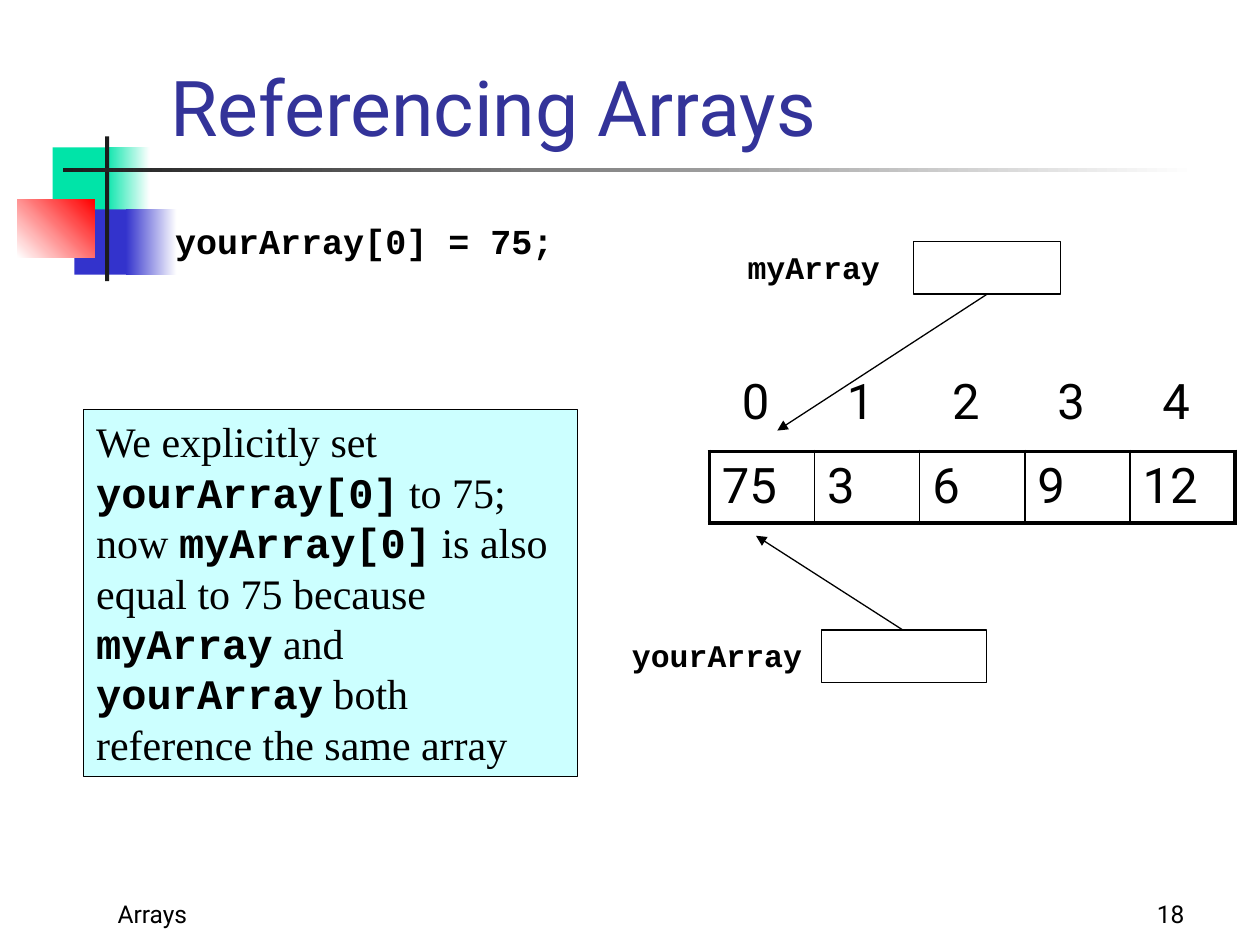
"""Builds the "Referencing Arrays" slide."""
from dataclasses import dataclass
from typing import Any

from lxml import etree
from pptx import Presentation
from pptx.dml.color import RGBColor
from pptx.enum.shapes import MSO_CONNECTOR, MSO_SHAPE
from pptx.enum.text import MSO_ANCHOR, PP_ALIGN
from pptx.oxml.ns import qn
from pptx.util import Cm, Pt

SANS, SERIF, MONO = "Roboto", "Times New Roman", "Courier New"
BLACK, WHITE, GREEN, BLUE = "000000", "FFFFFF", "00E4A8", "3333CC"
CHARCOAL, RED, TITLE, NOTE = "1C1C1C", "FF0000", "333399", "CCFFFF"
NO_GRID = "{2D5ABB26-0587-4C30-8999-92F81FD0307C}"


def rgb(color):
    return RGBColor.from_string(color)


@dataclass
class Board:
    slide: Any
    thin: float = 0.75
    thick: float = 2.25

    def set_runs(self, frame, runs, size, color=BLACK, align=PP_ALIGN.LEFT, anchor=MSO_ANCHOR.TOP):
        frame.word_wrap = True
        frame.vertical_anchor = anchor
        paragraph = frame.paragraphs[0]
        paragraph.alignment = align
        for text, font in runs:
            run = paragraph.add_run()
            run.text = text
            run.font.name = font
            run.font.size = Pt(size)
            run.font.bold = font == MONO
            run.font.color.rgb = rgb(color)

    def title(self, text, box):
        title = self.slide.shapes.title
        title.left, title.top, title.width, title.height = map(Cm, box)
        self.set_runs(title.text_frame, [(text, SANS)], 44, TITLE, anchor=MSO_ANCHOR.BOTTOM)

    def text(self, text, box, font, size, **layout):
        frame = self.slide.shapes.add_textbox(*map(Cm, box)).text_frame
        self.set_runs(frame, [(text, font)], size, **layout)

    def rect(self, box, fill=None, outline=False, fade=None, angle=0):
        shape = self.slide.shapes.add_shape(MSO_SHAPE.RECTANGLE, *map(Cm, box))
        shape.shadow.inherit = False
        if fade:
            shape.fill.gradient()
            shape.fill.gradient_angle = angle
            for stop, color, position in zip(shape.fill.gradient_stops, (fill, fade), (0, 1)):
                stop.color.rgb = rgb(color)
                stop.position = position
        elif fill:
            shape.fill.solid()
            shape.fill.fore_color.rgb = rgb(fill)
        else:
            shape.fill.background()
        if outline:
            shape.line.color.rgb = rgb(BLACK)
            shape.line.width = Pt(self.thin)
        else:
            shape.line.fill.background()
        return shape

    def arrow(self, *ends):
        arrow = self.slide.shapes.add_connector(MSO_CONNECTOR.STRAIGHT, *map(Cm, ends))
        arrow.line.color.rgb = rgb(BLACK)
        arrow.line.width = Pt(self.thin)
        line = arrow.line._get_or_add_ln()
        etree.SubElement(line, qn("a:tailEnd"), type="triangle")
        etree.SubElement(line.getparent(), qn("a:effectLst"))

    def border(self, cell, side, width):
        line = etree.SubElement(cell._tc.get_or_add_tcPr(), qn(f"a:{side}"), w=str(Pt(width)))
        fill = etree.SubElement(line, qn("a:solidFill"))
        etree.SubElement(fill, qn("a:srgbClr"), val=BLACK)

    def row(self, values, left, top, column, height, align=PP_ALIGN.LEFT, grid=False):
        last = len(values) - 1
        frame = self.slide.shapes.add_table(
            1, len(values), Cm(left), Cm(top), Cm(column * len(values)), Cm(height))
        table = frame.table
        table.first_row = table.horz_banding = False
        table._tbl.tblPr.find(qn("a:tableStyleId")).text = NO_GRID
        for i, value in enumerate(values):
            table.columns[i].width = Cm(column)
            cell = table.cell(0, i)
            self.set_runs(cell.text_frame, [(value, SANS)], 28, align=align)
            if grid:
                self.border(cell, "lnL", self.thick if i == 0 else 1)
                self.border(cell, "lnR", self.thick if i == last else 1)
                self.border(cell, "lnT", self.thick)
                self.border(cell, "lnB", self.thick)
            cell.fill.background()


prs = Presentation()
prs.slide_width, prs.slide_height = Cm(25.4), Cm(19.05)
board = Board(prs.slides.add_slide(prs.slide_layouts[5]))

board.rect((1.06, 2.97, 1.22, 1.32), GREEN)
board.rect((2.11, 2.97, 0.91, 1.32), GREEN, fade=WHITE)
board.rect((1.5, 4.22, 1.17, 1.32), BLUE)
board.rect((2.54, 4.22, 1.02, 1.32), BLUE, fade=WHITE)
board.rect((0.35, 4.02, 1.56, 1.17), WHITE, fade=RED, angle=45)
board.rect((2.12, 2.75, 0.08, 2.92), CHARCOAL)
board.rect((1.27, 3.39, 22.86, 0.08), CHARCOAL, fade=WHITE)

board.title("Referencing Arrays", (3.18, 0, 21.64, 3.18))
board.text("Arrays", (2.12, 17.57, 8.05, 1.27), SANS, 14, anchor=MSO_ANCHOR.BOTTOM)
board.text("18", (18.85, 17.57, 5.28, 1.27), SANS, 14,
           align=PP_ALIGN.RIGHT, anchor=MSO_ANCHOR.BOTTOM)
board.text("yourArray[0] = 75;", (3.28, 4.3, 10.59, 1.2), MONO, 20)

board.row(["75", "3", "6", "9", "12"], 14.3, 9.1, 2.12, 1.42, grid=True)
board.row(["0", "1", "2", "3", "4"], 14.17, 7.41, 2.12, 1.42, align=PP_ALIGN.CENTER)

board.text("myArray", (14.82, 4.87, 3.18, 1.02), MONO, 18)
board.rect((18.42, 4.87, 2.96, 1.06), outline=True)
board.arrow(19.9, 5.93, 15.67, 8.68)
board.text("yourArray", (12.49, 12.7, 4.02, 1.02), MONO, 18)
board.rect((16.56, 12.7, 3.33, 1.06), outline=True)
board.arrow(18.2, 12.7, 15.24, 10.8)

note = board.rect((1.69, 8.26, 9.96, 7.39), NOTE, outline=True)
board.set_runs(note.text_frame, [
    ("We explicitly set ", SERIF), ("yourArray[0]", MONO),
    (" to 75; now ", SERIF), ("myArray[0]", MONO),
    (" is also equal to 75 because ", SERIF), ("myArray", MONO),
    (" and ", SERIF), ("yourArray", MONO),
    (" both reference the same array", SERIF),
], 24)

prs.save("out.pptx")
